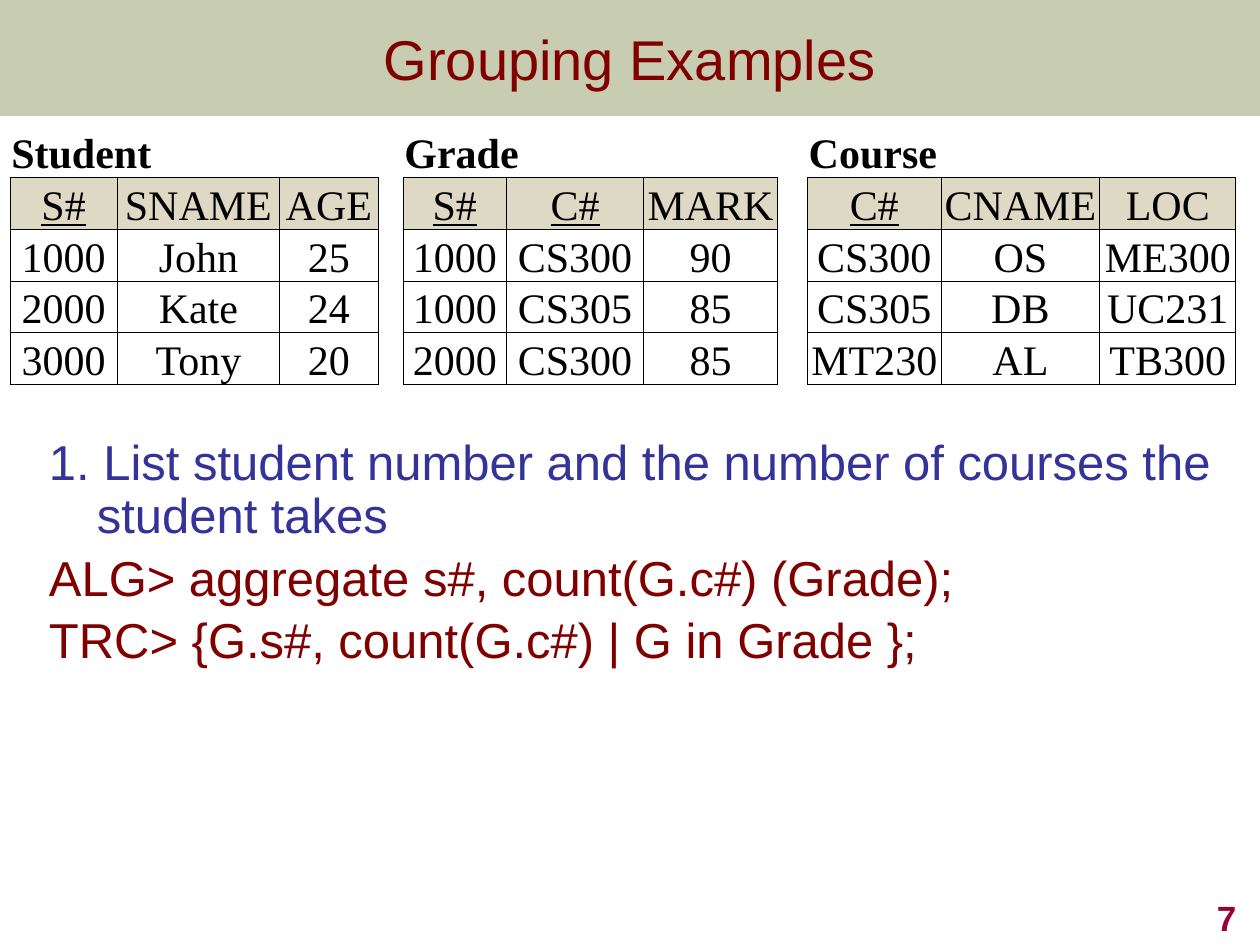
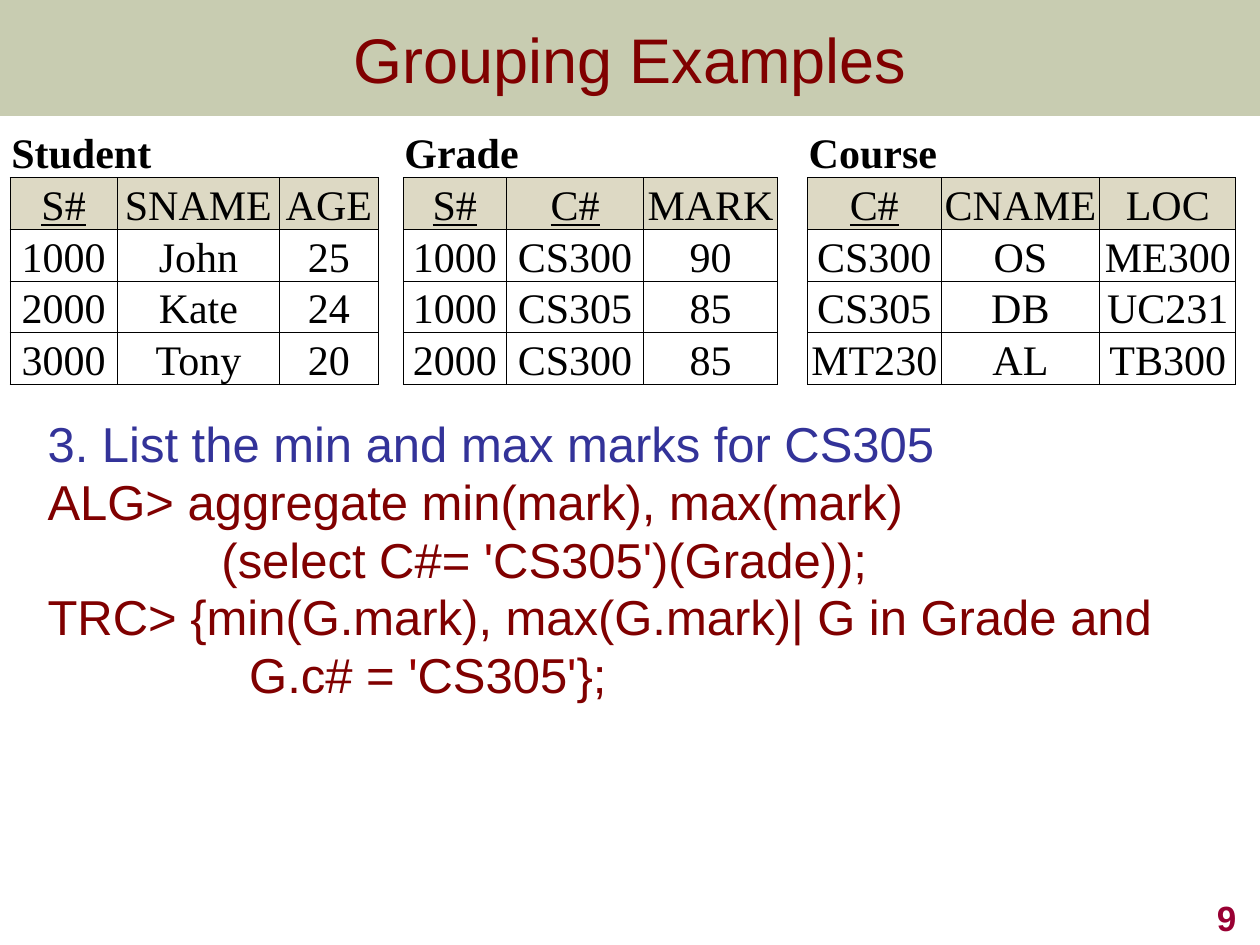
from dataclasses import dataclass

import pptx
import pptx.dml.color
import pptx.enum.shapes
import pptx.enum.text
import pptx.oxml
import pptx.oxml.ns
import pptx.util
from pptx.util import Inches, Pt

ALIGN = pptx.enum.text.PP_ALIGN
ANCHOR = pptx.enum.text.MSO_ANCHOR
NO_STYLE = "{2D5ABB26-0587-4C30-8999-92F81FD0307C}"


@dataclass(frozen=True)
class Theme:
    sans: str = "Arial"
    serif: str = "Times New Roman"
    band: str = "677228"
    band_alpha: int = 36
    title: str = "800000"
    question: str = "333399"
    answer: str = "800000"
    quote: str = "990000"
    number: str = "990033"
    ink: str = "000000"
    paper: str = "FFFFFF"
    header: str = "DDD9C4"
    body_size: int = 28
    table_size: int = 24
    number_size: int = 20
    border: float = 0.5


@dataclass(frozen=True)
class Relation:
    name: str
    widths: tuple[float, ...]
    rows: tuple[tuple[str, ...], ...]  # the first row holds the attribute names
    gap: float = 0  # empty column to the right


@dataclass(frozen=True)
class Line:
    text: str
    left: float = 0.38
    hang: float = 0.38


@dataclass(frozen=True)
class Example:
    number: int
    title_size: int
    box: tuple[float, float, float, float]
    line_height: float
    space_before: float
    question: Line
    answers: tuple[Line, ...]


T = Theme()
TITLE = "Grouping Examples"
BAND_BOX = (0, 0, 10, 0.92)
ROW_HEIGHT = 0.38

RELATIONS = (
    Relation("Student", (0.85, 1.29, 0.78), (
        ("S#", "SNAME", "AGE"),
        ("1000", "John", "25"),
        ("2000", "Kate", "24"),
        ("3000", "Tony", "20")), gap=0.2),
    Relation("Grade", (0.82, 1.09, 1.06), (
        ("S#", "C#", "MARK"),
        ("1000", "CS300", "90"),
        ("1000", "CS305", "85"),
        ("2000", "CS300", "85")), gap=0.24),
    Relation("Course", (1.06, 1.26, 1.08), (
        ("C#", "CNAME", "LOC"),
        ("CS300", "OS", "ME300"),
        ("CS305", "DB", "UC231"),
        ("MT230", "AL", "TB300"))),
)

EXAMPLES = (
    Example(7, 32, (0.29, 3.42, 9.42, 2.92), 30.3, 5.5,
            Line("1. List student number and the number of courses the student takes"),
            (Line("ALG> aggregate s#, count(G.c#) (Grade);"),
             Line("TRC> {G.s#, count(G.c#) | G in Grade };"))),
    Example(9, 36, (0.28, 3.33, 9.23, 2.83), 26.9, 6,
            Line("3. List the min and max marks for CS305"),
            (Line("ALG> aggregate min(mark), max(mark)"),
             Line("(select C#= 'CS305')(Grade));", 1.38, 0),
             Line("TRC> {min(G.mark), max(G.mark)| G in Grade and"),
             Line("G.c# = 'CS305'};", 1.6, 0))),
)


def rgb(value: str) -> pptx.dml.color.RGBColor:
    return pptx.dml.color.RGBColor.from_string(value)


def inches(box: tuple[float, ...]) -> list[int]:
    return [Inches(v) for v in box]


def format_run(r, size: float, color: str, font: str = T.sans,
               bold: bool = False, underline: bool = False) -> None:
    r.font.name, r.font.size = font, Pt(size)
    r.font.bold, r.font.underline = bold, underline
    r.font.color.rgb = rgb(color)


def add_band(slide) -> None:
    """Draw the translucent title band behind everything else."""
    sp = slide.shapes.add_shape(pptx.enum.shapes.MSO_SHAPE.RECTANGLE, *inches(BAND_BOX))
    sp.shadow.inherit = False
    sp.line.fill.background()
    sp.fill.solid()
    sp.fill.fore_color.rgb = rgb(T.band)
    color = sp._element.spPr.find(".//" + pptx.oxml.ns.qn("a:srgbClr"))
    pptx.oxml.ns.qn("a:alpha")
    color.append(pptx.oxml.parse_xml(
        f'<a:alpha {pptx.oxml.ns.nsdecls("a")} val="{T.band_alpha * 1000}"/>'))
    slide.shapes._spTree.insert(2, sp._element)


def set_title(slide, size: int) -> None:
    sp = slide.shapes.title
    sp.left, sp.top, sp.width, sp.height = inches(BAND_BOX)
    tf = sp.text_frame
    tf.text = TITLE
    tf.vertical_anchor = ANCHOR.MIDDLE
    tf.paragraphs[0].alignment = ALIGN.CENTER
    format_run(tf.paragraphs[0].runs[0], size, T.title)


def add_slide_number(slide, number: int) -> None:
    tf = slide.shapes.add_textbox(*inches((7.83, 7, 2.08, 0.5))).text_frame
    tf.word_wrap = True
    tf.text = str(number)
    tf.vertical_anchor = ANCHOR.BOTTOM
    p = tf.paragraphs[0]
    p.alignment = ALIGN.RIGHT
    format_run(p.runs[0], T.number_size, T.number, bold=True)


def add_query(p, text: str) -> None:
    """Write one answer line, with its quote marks in their own colour."""
    for i, part in enumerate(text.split("'")):
        pieces = [("'", T.quote)] if i else []
        for piece, color in pieces + [(part, T.answer)]:
            r = p.add_run()
            r.text = piece
            format_run(r, T.body_size, color)


def add_body(slide, ex: Example) -> None:
    tf = slide.shapes.add_textbox(*inches(ex.box)).text_frame
    tf.word_wrap = True
    tf.margin_right = 0
    for i, line in enumerate((ex.question, *ex.answers)):
        p = tf.add_paragraph() if i else tf.paragraphs[0]
        pPr = p._p.get_or_add_pPr()
        pPr.set("marL", str(Inches(line.left)))
        pPr.set("indent", str(-Inches(line.hang)))
        p.line_spacing = Pt(ex.line_height)
        if i:
            p.space_before = Pt(ex.space_before)
            add_query(p, line.text)
        else:
            p.text = line.text
            format_run(p.runs[0], T.body_size, T.question)


def style_cell(cell, fill: str, sides: str) -> None:
    """Set margins, fill and the borders on the given sides (of LRTB)."""
    cell.margin_left = cell.margin_right = cell.margin_top = Inches(0.01)
    cell.margin_bottom = 0
    cell.vertical_anchor = ANCHOR.BOTTOM
    tcPr = cell._tc.get_or_add_tcPr()
    for side in sides:
        tcPr.append(pptx.oxml.parse_xml(
            f'<a:ln{side} {pptx.oxml.ns.nsdecls("a")} w="{Pt(T.border)}">'
            f'<a:solidFill><a:srgbClr val="{T.ink}"/></a:solidFill></a:ln{side}>'))
    cell.fill.solid()
    cell.fill.fore_color.rgb = rgb(fill)


def write_cell(cell, text: str, align, bold: bool = False,
               underline: bool = False) -> None:
    cell.text = text
    p = cell.text_frame.paragraphs[0]
    p.alignment = align
    format_run(p.runs[0], T.table_size, T.ink, T.serif, bold, underline)


def fill_relation(table, rel: Relation, first: int) -> None:
    last = first + len(rel.widths) - 1
    for c in range(first, last + 1):
        style_cell(table.cell(0, c), T.paper, "B")
    heading = table.cell(0, first)
    heading.merge(table.cell(0, last))
    write_cell(heading, rel.name, ALIGN.LEFT, bold=True)
    for i, row in enumerate(rel.rows):
        for j, text in enumerate(row):
            cell = table.cell(i + 1, first + j)
            style_cell(cell, T.paper if i else T.header, "LRTB")
            write_cell(cell, text, ALIGN.CENTER,
                       underline=i == 0 and text.endswith("#"))


def fill_gap(table, column: int) -> None:
    for i in range(len(table.rows)):
        cell = table.cell(i, column)
        style_cell(cell, T.paper, "LR" if i else "")
        cell.text_frame.paragraphs[0].font.size = Pt(T.table_size)


def add_relations(slide) -> None:
    """Lay the relations side by side in one table."""
    widths = [w for rel in RELATIONS
              for w in (*rel.widths, *([rel.gap] if rel.gap else []))]
    n_rows = len(RELATIONS[0].rows) + 1
    box = (0.08, 1, sum(widths), ROW_HEIGHT * n_rows)
    table = slide.shapes.add_table(n_rows, len(widths), *inches(box)).table
    table.first_row = table.horz_banding = False
    table._tbl.tblPr.find(pptx.oxml.ns.qn("a:tableStyleId")).text = NO_STYLE
    for column, width in zip(table.columns, widths):
        column.width = Inches(width)
    for row in table.rows:
        row.height = Inches(ROW_HEIGHT)
    first = 0
    for rel in RELATIONS:
        fill_relation(table, rel, first)
        first += len(rel.widths)
        if rel.gap:
            fill_gap(table, first)
            first += 1


def main() -> None:
    prs = pptx.Presentation()
    prs.slide_width, prs.slide_height = Inches(10), Inches(7.5)
    for ex in EXAMPLES:
        slide = prs.slides.add_slide(prs.slide_layouts[5])
        add_band(slide)
        set_title(slide, ex.title_size)
        add_body(slide, ex)
        add_slide_number(slide, ex.number)
        add_relations(slide)
    prs.save("out.pptx")


if __name__ == "__main__":
    main()
